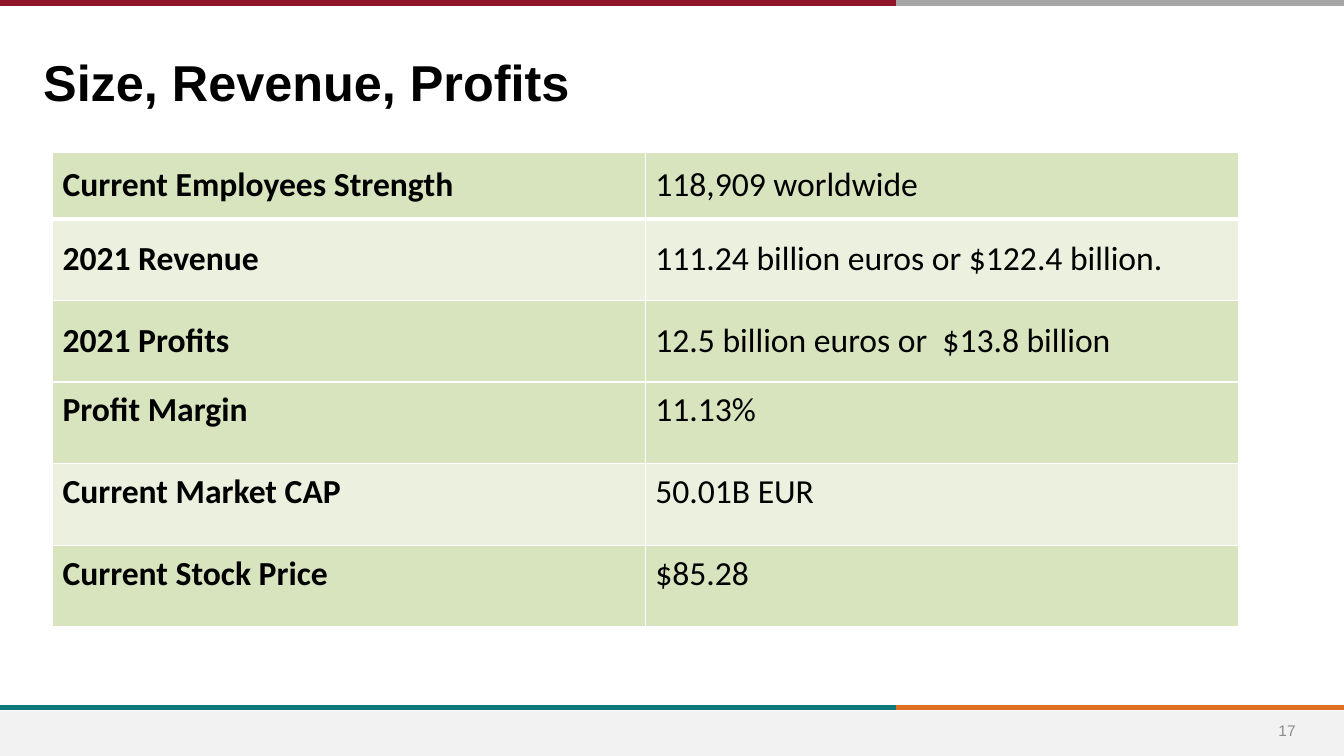
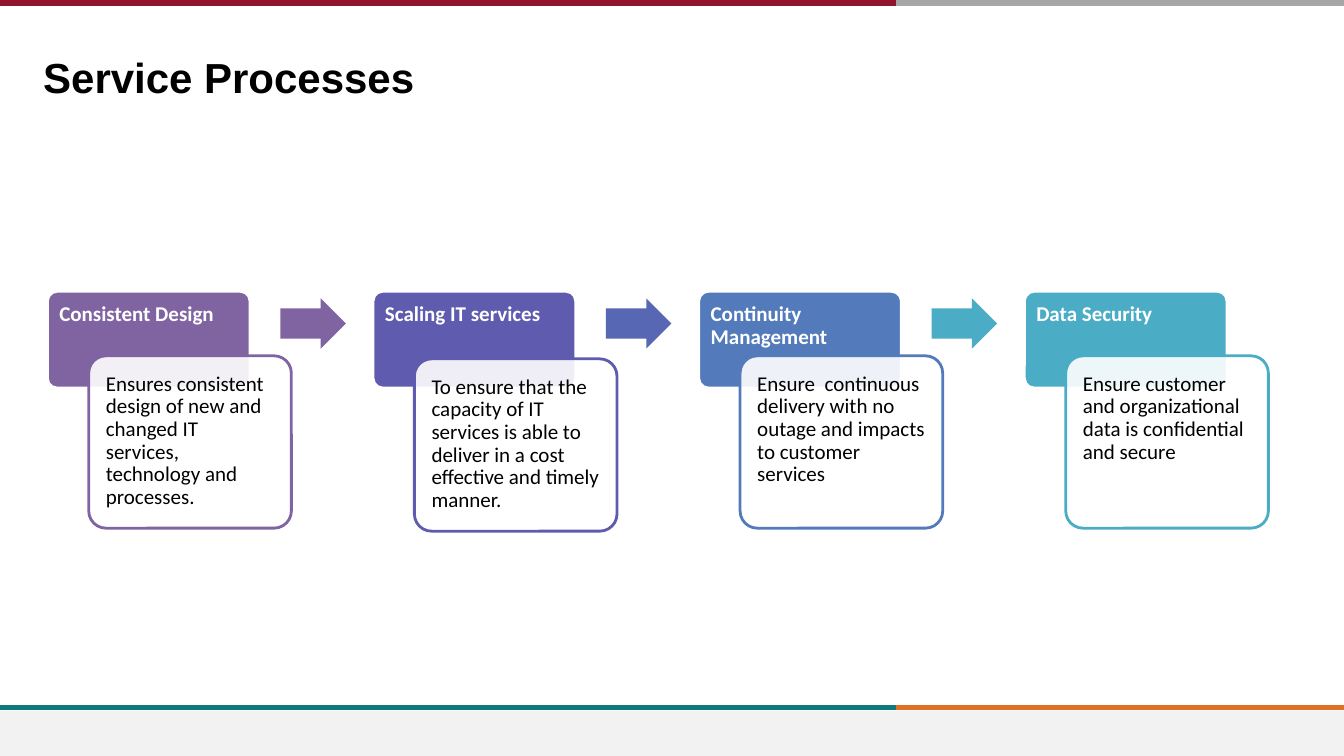
"""Build the company figures and service processes slides."""
from lxml import etree
from pptx import Presentation
from pptx.dml.color import RGBColor
from pptx.enum.shapes import MSO_CONNECTOR, MSO_SHAPE
from pptx.enum.text import MSO_ANCHOR, PP_ALIGN
from pptx.oxml.ns import qn
from pptx.util import Inches, Pt

TOP, MIDDLE = MSO_ANCHOR.TOP, MSO_ANCHOR.MIDDLE
LEFT, CENTER = PP_ALIGN.LEFT, PP_ALIGN.CENTER
STRAIGHT = MSO_CONNECTOR.STRAIGHT
RECTANGLE, ROUNDED = MSO_SHAPE.RECTANGLE, MSO_SHAPE.ROUNDED_RECTANGLE
ARROW = MSO_SHAPE.RIGHT_ARROW

COLORS = {
    "white": "FFFFFF", "black": "000000", "footer": "F2F2F2", "number": "8C8C8C",
    "crimson": "90152A", "gray": "A6A6A6", "teal": "0F787D", "orange": "DF7023",
    "green": "D7E4BD", "pale green": "EBF1DE",
    "purple": "8064A2", "violet": "5F5BAE", "indigo": "5767B4",
    "blue": "537ABA", "aqua": "4BACC6",
}
WIDTH, HEIGHT, SPLIT = 13.33, 7.5, 8.89
STEP_LEFT, STEP_TOP, STEP_PITCH = 0.47, 2.89, 3.23

FIGURES = [
    ("Current Employees Strength", "118,909 worldwide", "green", MIDDLE),
    ("2021 Revenue", "111.24 billion euros or $122.4 billion.", "pale green", MIDDLE),
    ("2021 Profits", "12.5 billion euros or  $13.8 billion", "green", MIDDLE),
    ("Profit Margin", "11.13%", "green", TOP),
    ("Current Market CAP", "50.01B EUR", "pale green", TOP),
    ("Current Stock Price", "$85.28", "green", TOP),
]
STEPS = [
    ("Consistent Design", "Ensures consistent design of new and changed IT services, "
     "technology and processes.", "purple", "purple", 3.53),
    ("Scaling IT services", "To ensure that the capacity of IT services is able to "
     "deliver in a cost effective and timely manner.", "violet", "indigo", 3.56),
    ("Continuity Management", "Ensure  continuous delivery with no outage and impacts "
     "to customer services", "blue", "aqua", 3.53),
    ("Data Security", "Ensure customer and organizational data is confidential and "
     "secure", "aqua", None, 3.53),
]


def rgb(name):
    """Return the named colour."""
    return RGBColor.from_string(COLORS[name])


def write(frame, text, size, color, font="Calibri", bold=False, align=LEFT,
          anchor=TOP, spacing=1.0):
    """Write one styled run into a text frame."""
    frame.word_wrap = True
    frame.vertical_anchor = anchor
    paragraph = frame.paragraphs[0]
    paragraph.alignment = align
    paragraph.line_spacing = spacing
    run = paragraph.add_run()
    run.text = text
    run.font.name, run.font.size, run.font.bold = font, Pt(size), bold
    run.font.color.rgb = rgb(color)


def set_insets(frame, left, top, right, bottom):
    """Set the inner margins of a text frame or a table cell."""
    frame.margin_left, frame.margin_top = Inches(left), Inches(top)
    frame.margin_right, frame.margin_bottom = Inches(right), Inches(bottom)


def add_text(slide, box, text, size, color, **style):
    """Add a text box."""
    shape = slide.shapes.add_textbox(*map(Inches, box))
    write(shape.text_frame, text, size, color, **style)


def add_block(slide, kind, box, fill, outline=None, adjustments=(), alpha=None):
    """Add a filled preset shape with an optional outline and opacity."""
    shape = slide.shapes.add_shape(kind, *map(Inches, box))
    shape.shadow.inherit = False
    for index, value in enumerate(adjustments):
        shape.adjustments[index] = value
    shape.fill.solid()
    shape.fill.fore_color.rgb = rgb(fill)
    if alpha:
        color = shape.fill._xPr.find(qn("a:solidFill"))[0]
        etree.SubElement(color, qn("a:alpha"), val=str(alpha * 1000))
    if outline:
        shape.line.color.rgb = rgb(outline)
        shape.line.width = Pt(2)
    else:
        shape.line.fill.background()
    return shape


def add_rule(slide, start, end, y, color):
    """Add a thick horizontal rule."""
    rule = slide.shapes.add_connector(
        STRAIGHT, Inches(start), Inches(y), Inches(end), Inches(y))
    rule.line.color.rgb = rgb(color)
    rule.line.width = Pt(4)
    etree.SubElement(rule._element.spPr, qn("a:effectLst"))


def add_base_slide(presentation, title, size):
    """Add a slide with the shared bands and a title."""
    slide = presentation.slides.add_slide(presentation.slide_layouts[6])
    add_block(slide, RECTANGLE, (0, 7.05, WIDTH, 0.45), "footer")
    for y, first, second in ((7.02, "teal", "orange"), (0.03, "crimson", "gray")):
        add_rule(slide, SPLIT, WIDTH, y, second)
        add_rule(slide, 0, SPLIT, y, first)
    add_text(slide, (0.33, 0.46, 10.65, 0.59), title, size, "black",
             font="Arial", bold=True)
    return slide


def set_borders(cell, top, bottom):
    """Give a cell white borders, with top and bottom widths in points."""
    properties = cell._tc.get_or_add_tcPr()
    widths = (("a:lnL", 1), ("a:lnR", 1), ("a:lnT", top), ("a:lnB", bottom))
    for index, (tag, width) in enumerate(widths):
        line = etree.Element(qn(tag), w=str(Pt(width)))
        fill = etree.SubElement(line, qn("a:solidFill"))
        etree.SubElement(fill, qn("a:srgbClr"), val=COLORS["white"])
        properties.insert(index, line)


def add_figures_table(slide):
    """Add the table of company figures."""
    table = slide.shapes.add_table(
        len(FIGURES), 2, Inches(0.52), Inches(1.51), Inches(11.76), Inches(4.71)).table
    table.first_row = table.horz_banding = False
    for row, (label, value, fill, anchor) in enumerate(FIGURES):
        table.rows[row].height = Inches(0.81 if row else 0.66)
        for column, text in enumerate((label, value)):
            cell = table.cell(row, column)
            cell.fill.solid()
            cell.fill.fore_color.rgb = rgb(fill)
            set_insets(cell, 0.1, 0.08, 0.1, 0.08)
            write(cell.text_frame, text, 24, "black", bold=column == 0)
            cell.vertical_anchor = anchor
            set_borders(cell, 3 if row == 1 else 1, 3 if row == 0 else 1)


def add_step(slide, left, heading, detail, color, arrow_color, card_top):
    """Add a process step: heading block, detail card and arrow to the next."""
    block = add_block(slide, ROUNDED, (left, STEP_TOP, 2.01, 0.96), color, "white", (0.1,))
    set_insets(block.text_frame, 0.09, 0.09, 0.09, 0.06)
    write(block.text_frame, heading, 15, "white", bold=True, spacing=0.9)
    card = add_block(slide, ROUNDED, (left + 0.41, card_top, 2.01, 1.71), "white", color,
                     (0.1,), 90)
    set_insets(card.text_frame, 0.12, 0.12, 0.12, 0.12)
    write(card.text_frame, detail, 15, "black", spacing=0.9)
    if arrow_color:
        add_block(slide, ARROW, (left + 2.31, 2.96, 0.65, 0.5), arrow_color,
                  adjustments=(0.6, 0.5))


def main():
    """Build and save the presentation."""
    presentation = Presentation()
    presentation.slide_width, presentation.slide_height = Inches(WIDTH), Inches(HEIGHT)
    figures = add_base_slide(presentation, "Size, Revenue, Profits", 36)
    add_text(figures, (12.42, 7.05, 0.69, 0.4), "17", 11, "number",
             font="Arial", align=CENTER, anchor=MIDDLE)
    add_figures_table(figures)
    processes = add_base_slide(presentation, "Service Processes", 30)
    for index, step in enumerate(STEPS):
        add_step(processes, STEP_LEFT + index * STEP_PITCH, *step)
    presentation.save("out.pptx")


if __name__ == "__main__":
    main()
